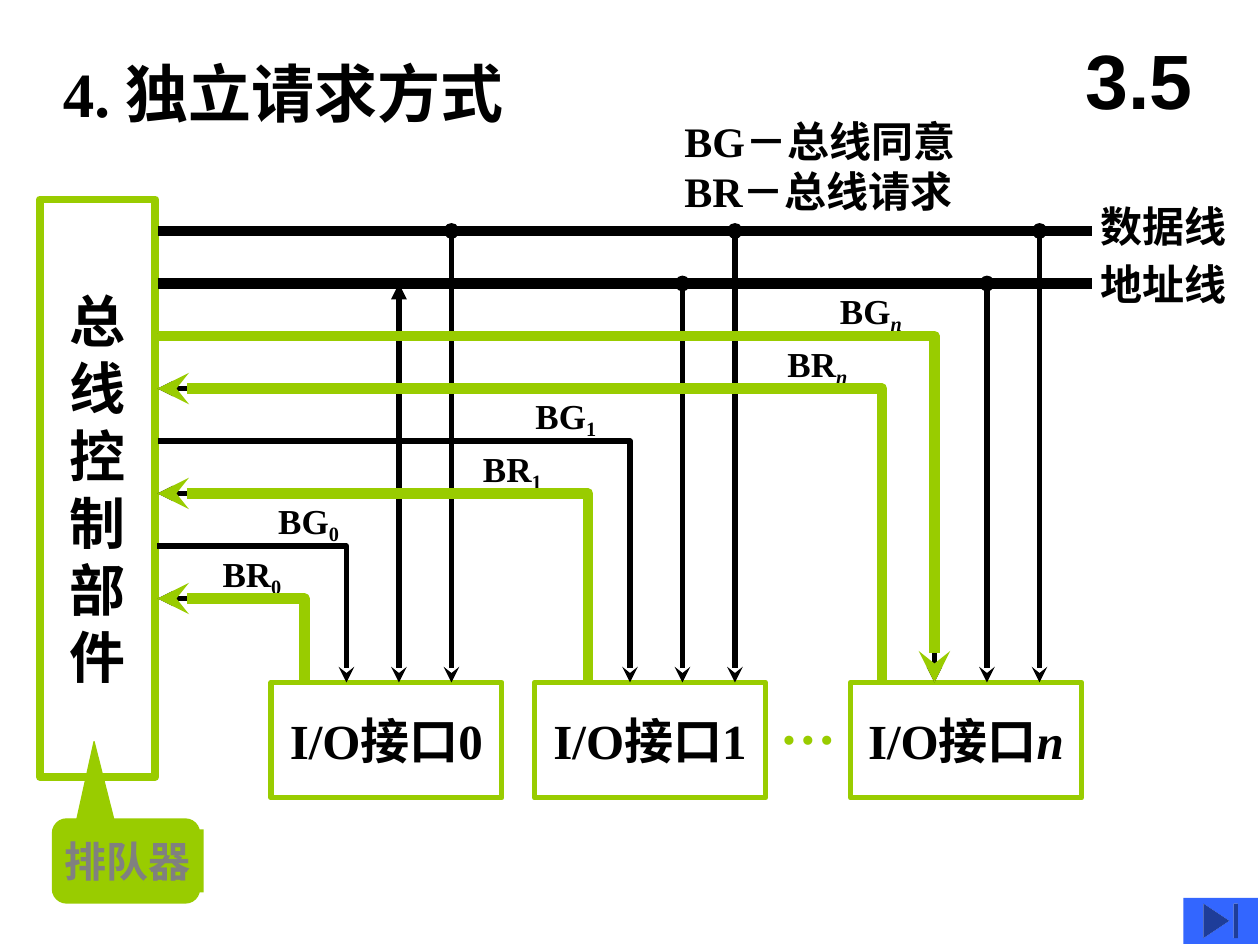
from pptx import Presentation
from pptx.dml.color import RGBColor as Rgb
from pptx.enum.shapes import MSO_CONNECTOR as Link, MSO_SHAPE as Kind
from pptx.enum.text import MSO_ANCHOR as Anchor, PP_ALIGN as Align
from pptx.oxml.ns import qn
from pptx.util import Inches, Pt
from lxml.etree import SubElement as Sub

HUE = {"ink": "000000", "lime": "99CC00", "gray": "808080", "blue": "3366FF"}
deck = Presentation()
deck.slide_width, deck.slide_height = Inches(10), Inches(7.5)
page = deck.slides.add_slide(deck.slide_layouts[6])
art = page.shapes
CELL = deck.slide_width // 120


def put(text, x, y, w, h, size=24, hue="ink", font="Times New Roman", kind=None,
        fill=None, edge=0, mid=False, wrap=False, pad=True, tail="", sub=False):
    area = [round(v * CELL) for v in (x, y, w, h)]
    if kind is None:
        box = art.add_textbox(*area)
    else:
        box = art.add_shape(kind, *area)
        box.shadow.inherit = False
        if fill:
            box.fill.solid()
            box.fill.fore_color.rgb = Rgb.from_string(HUE[fill])
        else:
            box.fill.background()
        if edge:
            box.line.color.rgb = Rgb.from_string(HUE["lime"])
            box.line.width = Pt(edge)
        else:
            box.line.fill.background()
    if not text:
        return box
    frame = box.text_frame
    frame.word_wrap = wrap
    frame.vertical_anchor = Anchor.MIDDLE if mid else Anchor.TOP
    if not pad:
        frame.margin_left = frame.margin_right = 0
        frame.margin_top = frame.margin_bottom = 0
    for i, line in enumerate(text.split("\n")):
        para = frame.add_paragraph() if i else frame.paragraphs[0]
        para.alignment = Align.CENTER if mid else Align.LEFT
        for part in filter(None, (line, tail)):
            run = para.add_run()
            run.text = part
            run.font.name, run.font.size, run.font.bold = font, Pt(size), True
            run.font.color.rgb = Rgb.from_string(HUE[hue])
            if part == tail:
                run.font.italic = tail == "n"
                if sub:
                    run.font._element.set("baseline", "-20000")
    return box


def draw(dots, hue="ink", wide=3, head="none", tail="none"):
    if len(dots) == 2:
        wire = art.add_connector(Link.STRAIGHT, *[v * CELL for dot in dots for v in dot])
    else:
        form = art.build_freeform(*dots[0], scale=CELL)
        form.add_line_segments(dots[1:], close=False)
        wire = form.convert_to_shape()
        wire.fill.background()
    wire.line.color.rgb = Rgb.from_string(HUE[hue])
    wire.line.width = Pt(wide)
    ln = wire.line._get_or_add_ln()
    Sub(ln, qn("a:headEnd"), type=head)
    Sub(ln, qn("a:tailEnd"), type=tail)
    Sub(wire._element.spPr, qn("a:effectLst"))


LEFT, DATA, ADDR, BASE = 15, 22, 27, 65

call = put("", 5, 78, 14, 8, kind=Kind.ROUNDED_RECTANGULAR_CALLOUT, fill="lime", edge=0.75)
for i, val in enumerate((-0.217, -1.422, 0.167)):
    call.adjustments[i] = val
put("排队器", 5, 79, 14.4, 6, hue="gray", kind=Kind.RECTANGLE, fill="lime")
put("4. 独立请求方式", 4.8, 4.6, 55, 8.4, size=36, wrap=True)
put("总\n线\n控\n制\n部\n件", 3.8, 19, 11, 55, size=32, kind=Kind.RECTANGLE, edge=4.5, mid=True)

for row, top, name in ((DATA, 18.5, "数据线"), (ADDR, 24, "地址线")):
    draw([(LEFT, row), (104, row)], wide=6)
    put(name, 103.6, top, 14.4, 6)

ports = [("0", 25.8, 29, 33, 21.2, 26.5),
         ("1", 50.9, 56, 60, 46, 51),
         ("n", 81, 84, 89, 75, 80)]
lime = []
for i, (num, x, ask, give, asktag, givetag) in enumerate(ports):
    put("I/O接口", x, BASE, 22, 11, size=28, kind=Kind.RECTANGLE, edge=3, mid=True, tail=num)
    low, high = 57 - 10 * i, 52 - 10 * i
    paths = [([(LEFT, low), (ask, low), (ask, BASE)], {"head": "stealth"}),
             ([(LEFT, high), (give, high), (give, BASE)], {"tail": "stealth"})]
    for dots, ends in paths:
        draw(dots, **ends)
    lime += paths if num == "n" else paths[:1]
    for name, tag, row in (("BR", asktag, low), ("BG", givetag, high)):
        put(name, tag, row - 4.4, 11, 4.4, size=20, wrap=True, pad=False, tail=num, sub=True)
    draw([(give + 5, ADDR), (give + 5, BASE)], head="oval" if i else "triangle", tail="stealth")
    draw([(give + 10, DATA), (give + 10, BASE)], head="oval", tail="stealth")

put("…", 73.1, BASE, 7.7, 7.7, size=32, hue="lime")
put("BG－总线同意\nBR－总线请求", 64, 10.4, 31, 11, wrap=True)
for dots, ends in lime:
    draw(dots, hue="lime", wide=6, **ends)

put("3.5", 101, 2, 15, 11, size=44, font="Arial", mid=True, wrap=True)
put("", 112.7, 85.5, 7.1, 4.4, kind=Kind.ACTION_BUTTON_END, fill="blue")
deck.save("out.pptx")
